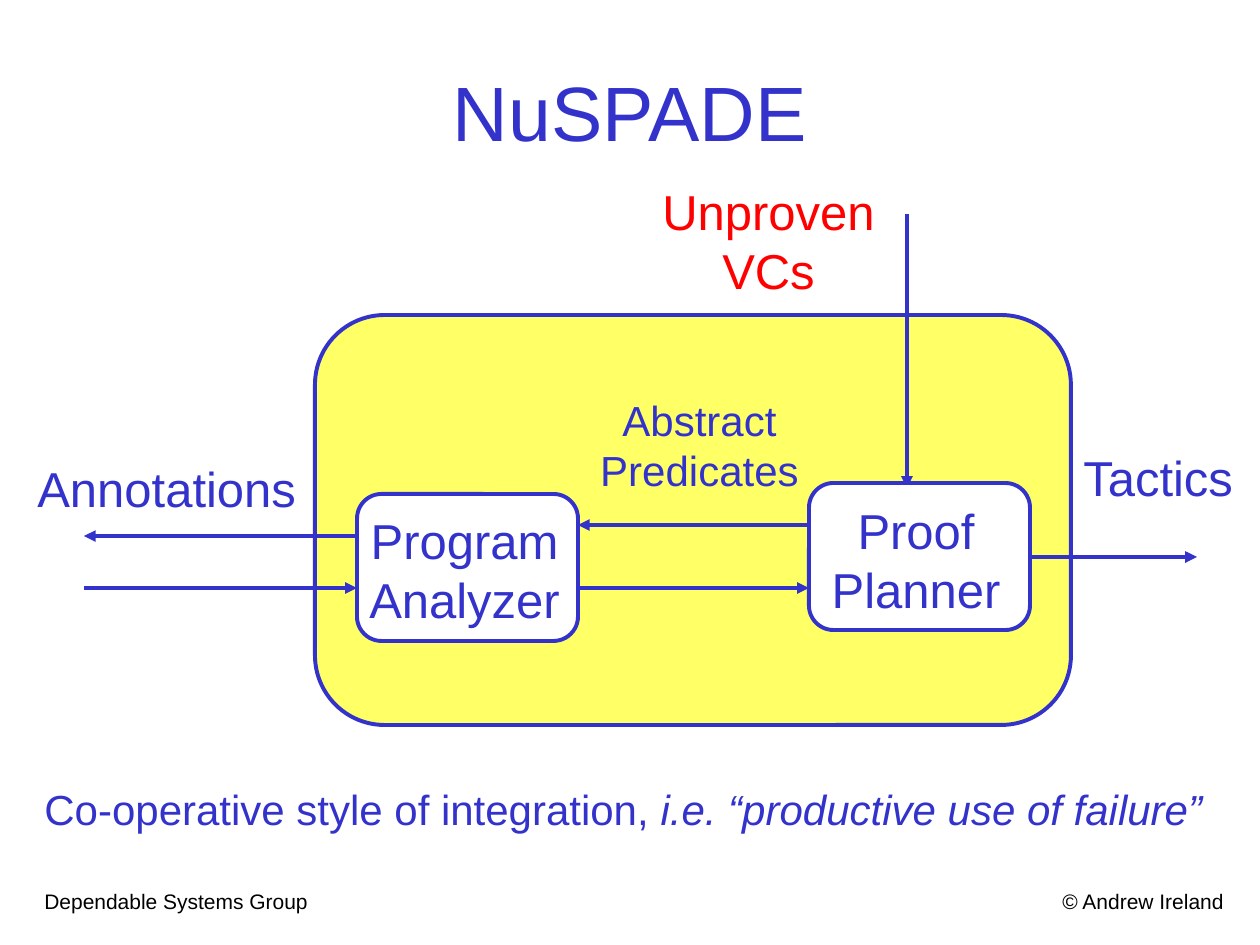
from lxml.etree import SubElement
from pptx import Presentation
from pptx.dml.color import RGBColor
from pptx.enum.shapes import MSO_CONNECTOR as Connector, MSO_SHAPE as Shape
from pptx.enum.text import MSO_ANCHOR as Anchor, MSO_AUTO_SIZE as AutoSize, PP_ALIGN as Align
from pptx.oxml.ns import qn
from pptx.util import Emu, Pt

BLUE = RGBColor(0x33, 0x33, 0xCC)
YELLOW = RGBColor(0xFF, 0xFF, 0x66)
RED = RGBColor(0xFF, 0x00, 0x00)
WHITE = RGBColor(0xFF, 0xFF, 0xFF)
BLACK = RGBColor(0x00, 0x00, 0x00)
EMU_PER_PX = 914400 / 126


def px(*lengths):
    return [Emu(round(length * EMU_PER_PX)) for length in lengths]


class Diagram:
    font_name = "Arial"
    line_width = Pt(2.25)

    def __init__(self, slide):
        self.slide = slide

    def text(self, place, lines, size=28, color=BLUE, align=Align.LEFT,
             wrap=False, anchor=Anchor.TOP):
        box = self.slide.shapes.add_textbox(*px(*place))
        frame = box.text_frame
        frame.word_wrap = wrap
        frame.auto_size = AutoSize.NONE
        frame.vertical_anchor = anchor
        for index, runs in enumerate(lines):
            para = frame.paragraphs[0] if index == 0 else frame.add_paragraph()
            para.alignment = align
            for words, italic in runs:
                span = para.add_run()
                span.text = words
                span.font.name = self.font_name
                span.font.size = Pt(size)
                span.font.italic = italic
                span.font.color.rgb = color

    def label(self, place, *lines, **style):
        self.text(place, [[(line, False)] for line in lines], **style)

    def panel(self, kind, place, fill):
        shape = self.slide.shapes.add_shape(kind, *px(*place))
        shape.shadow.inherit = False
        shape.fill.solid()
        shape.fill.fore_color.rgb = fill
        shape.line.color.rgb = BLUE
        shape.line.width = self.line_width
        return shape

    def component(self, place, text_place, *lines):
        self.panel(Shape.FLOWCHART_ALTERNATE_PROCESS, place, WHITE)
        self.label(text_place, *lines, align=Align.CENTER)

    def arrow(self, start, end):
        arrow = self.slide.shapes.add_connector(Connector.STRAIGHT, *px(*start, *end))
        arrow.line.color.rgb = BLUE
        arrow.line.width = self.line_width
        SubElement(arrow.line._get_or_add_ln(), qn("a:tailEnd"), type="triangle")
        SubElement(arrow._element.spPr, qn("a:effectLst"))


def main():
    deck = Presentation()
    deck.slide_width, deck.slide_height = px(1260, 945)
    diagram = Diagram(deck.slides.add_slide(deck.slide_layouts[6]))

    diagram.label((1050, 882, 188, 38), "© Andrew Ireland", size=12, color=BLACK)
    diagram.label((32, 882, 289, 38), "Dependable Systems Group", size=12, color=BLACK)

    system = diagram.panel(Shape.ROUNDED_RECTANGLE, (315, 315, 756, 410), YELLOW)
    system.adjustments[0] = 0.17
    diagram.label((63, 32, 1134, 158), "NuSPADE", size=44, align=Align.CENTER,
                  wrap=True, anchor=Anchor.MIDDLE)
    diagram.label((650, 175, 237, 131), "Unproven", "VCs", color=RED, align=Align.CENTER)
    diagram.label((588, 388, 223, 113), "Abstract", "Predicates", size=24,
                  align=Align.CENTER)
    diagram.label((25, 452, 285, 72), "Annotations", wrap=True)
    diagram.label((1071, 441, 180, 72), "Tactics")
    diagram.text((32, 777, 1207, 63),
                 [[("Co-operative style of integration,", False),
                   (" i.e. “productive use of failure”", True)]],
                 size=24, wrap=True)

    diagram.arrow((907, 214), (907, 488))
    diagram.component((809, 483, 221, 147), (819, 494, 194, 131), "Proof", "Planner")
    diagram.component((357, 494, 221, 147), (357, 504, 215, 131), "Program", "Analyzer")
    for start, end in (
        ((1030, 557), (1197, 557)),
        ((809, 525), (578, 525)),
        ((578, 588), (809, 588)),
        ((357, 536), (84, 536)),
        ((84, 588), (357, 588)),
    ):
        diagram.arrow(start, end)

    deck.save("out.pptx")


if __name__ == "__main__":
    main()
